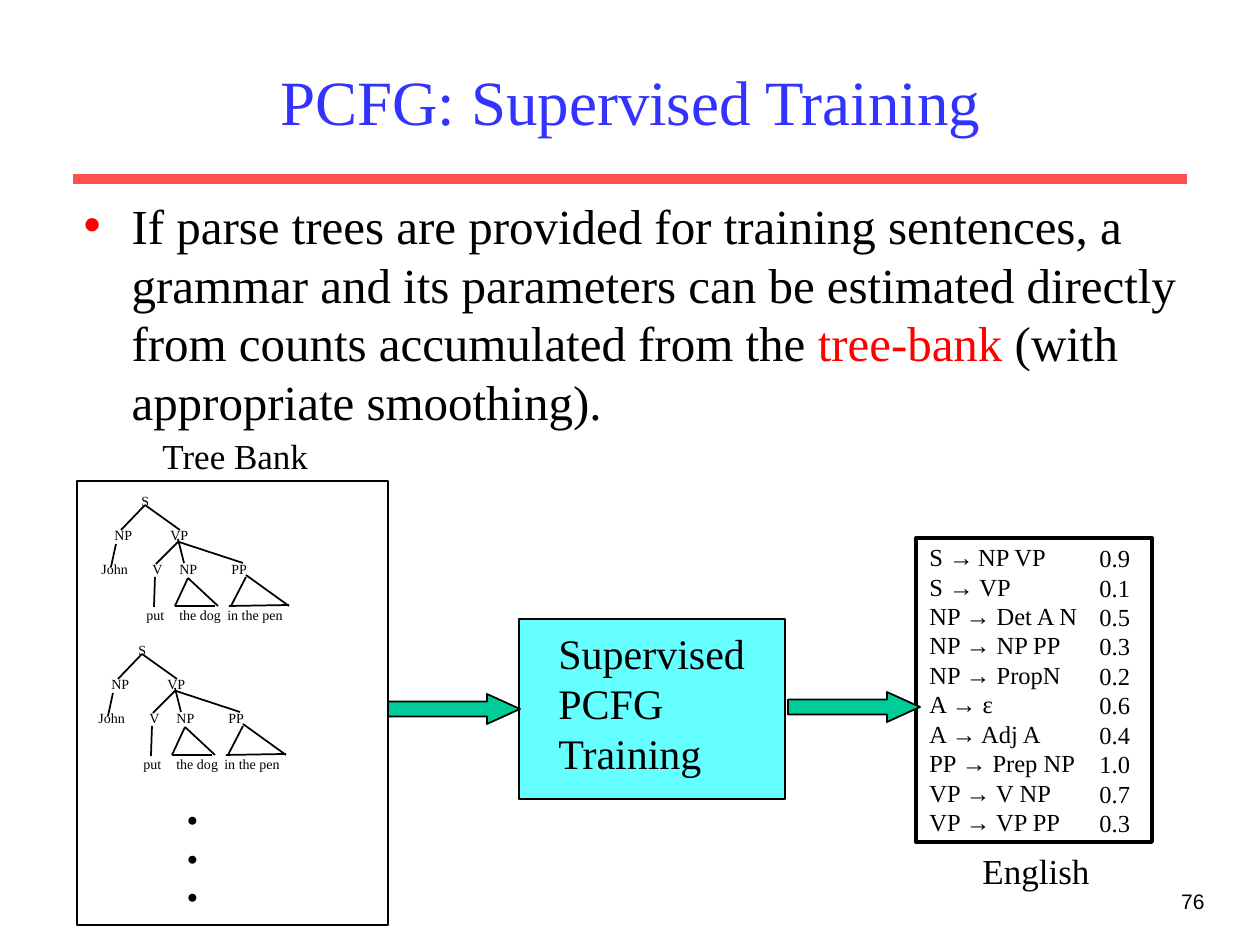
from dataclasses import dataclass
from typing import Optional

from lxml import etree
from pptx import Presentation
from pptx import util as u
from pptx.dml.color import RGBColor
from pptx.enum import shapes, text
from pptx.oxml import ns


@dataclass(frozen=True)
class Theme:
    serif: str = "Times New Roman"
    sans: str = "Arial"
    black: str = "000000"
    title: str = "3333FF"
    accent: str = "FF0000"
    rule: str = "FF5050"
    process: str = "66FFFF"
    arrow: str = "00CC99"
    title_size: int = 36
    body_size: int = 28
    process_size: int = 24
    label_size: int = 20
    grammar_size: int = 14
    number_size: int = 12
    gap_size: int = 10
    tree_size: int = 8


THEME = Theme()


@dataclass(frozen=True)
class Frame:
    left: int
    top: int
    width: int
    height: int

    def emu(self) -> list:
        return [px(v) for v in (self.left, self.top, self.width, self.height)]


@dataclass(frozen=True)
class Span:
    text: str
    color: Optional[str] = None
    size: Optional[int] = None


@dataclass(frozen=True)
class TreeRow:
    frame: Frame
    words: tuple
    tabs: tuple = ()


# One parse tree: rows of labels, and branches as (x1, y1, x2, y2)
TREE_ROWS = (
    TreeRow(Frame(129, 486, 33, 30), ("S",)),
    TreeRow(Frame(102, 520, 100, 30), ("NP", "VP"), (56,)),
    TreeRow(Frame(89, 554, 173, 30), ("John", "V", "NP", "PP"), (51, 78, 130)),
    TreeRow(Frame(134, 600, 161, 30), ("put", "the dog", "in the pen"), (33, 81)),
)
BRANCHES = (
    (145, 505, 121, 530), (145, 505, 180, 530), (116, 544, 111, 567),
    (179, 541, 156, 564), (178, 539, 184, 563), (179, 542, 243, 563),
    (155, 577, 154, 607),
    (188, 578, 175, 606), (175, 606, 215, 606), (188, 578, 218, 606),
    (246, 577, 231, 606), (229, 606, 289, 605), (246, 575, 289, 606),
)
TREE_OFFSETS = ((0, 0), (-3, 149))

GRAMMAR = (
    ([Span("S →"), Span(" ", size=THEME.gap_size), Span("NP VP")], "0.9"),
    ("S → VP", "0.1"),
    ("NP → Det A N", "0.5"),
    ("NP → NP PP", "0.3"),
    ("NP → PropN", "0.2"),
    ("A → ε", "0.6"),
    ("A → Adj A", "0.4"),
    ("PP → Prep NP", "1.0"),
    ("VP → V NP", "0.7"),
    ("VP → VP PP", "0.3"),
)


def px(value: float) -> u.Emu:
    return u.Emu(round(value * 914400 / 126))


def rgb(color: str) -> RGBColor:
    return RGBColor.from_string(color)


def add_bullet(para, color: str, indent: int) -> None:
    props = para._p.get_or_add_pPr()
    props.set("marL", str(px(indent)))
    props.set("indent", str(-px(indent)))
    holder = etree.SubElement(props, ns.qn("a:buClr"))
    etree.SubElement(holder, ns.qn("a:srgbClr"), val=color)
    etree.SubElement(props, ns.qn("a:buChar"), char="•")


def add_tabs(para, stops) -> None:
    tabs = etree.SubElement(para._p.get_or_add_pPr(), ns.qn("a:tabLst"))
    for stop in stops:
        etree.SubElement(tabs, ns.qn("a:tab"), pos=str(px(stop)), algn="l")


def write(box, paragraphs, *, size: int, color: str = THEME.black,
          font: str = THEME.serif, bold: bool = False, align=text.PP_ALIGN.LEFT,
          spacing: Optional[float] = None, wrap: bool = False, bullet: bool = False,
          tabs=()) -> None:
    """Fill a box; each paragraph is a string or a list of spans."""
    frame = box.text_frame
    frame.word_wrap = wrap
    frame.auto_size = text.MSO_AUTO_SIZE.NONE
    for index, content in enumerate(paragraphs):
        para = frame.add_paragraph() if index else frame.paragraphs[0]
        if bullet:
            add_bullet(para, THEME.accent, 48)
        if tabs:
            add_tabs(para, tabs)
        para.alignment = align
        para.space_before = u.Pt(0)
        if spacing:
            para.line_spacing = spacing
        for span in [Span(content)] if isinstance(content, str) else content:
            run = para.add_run()
            run.text = span.text
            run.font.name = font
            run.font.size = u.Pt(span.size or size)
            run.font.bold = bold
            run.font.color.rgb = rgb(span.color or color)


def add_text(page, frame: Frame, paragraphs, **style):
    box = page.shapes.add_textbox(*frame.emu())
    write(box, paragraphs, **style)
    return box


def fill_placeholder(holder, frame: Frame, paragraphs, **style) -> None:
    holder.left, holder.top, holder.width, holder.height = frame.emu()
    write(holder, paragraphs, wrap=True, **style)


def add_block(page, kind, frame: Frame, fill: Optional[str], weight: float):
    block = page.shapes.add_shape(kind, *frame.emu())
    block.shadow.inherit = False
    if fill:
        block.fill.solid()
        block.fill.fore_color.rgb = rgb(fill)
    else:
        block.fill.background()
    block.line.color.rgb = rgb(THEME.black)
    block.line.width = u.Pt(weight)
    return block


def add_line(page, ends, color: str = THEME.black, weight: float = 1) -> None:
    line = page.shapes.add_connector(
        shapes.MSO_CONNECTOR.STRAIGHT, *[px(v) for v in ends])
    line.line.color.rgb = rgb(color)
    line.line.width = u.Pt(weight)
    etree.SubElement(line._element.spPr, ns.qn("a:effectLst"))


def add_arrow(page, left: int, top: int) -> None:
    arrow = add_block(page, shapes.MSO_SHAPE.RIGHT_ARROW,
                      Frame(left, top, 132, 30), THEME.arrow, 1)
    arrow.adjustments[0], arrow.adjustments[1] = 0.5, 1.1


def add_tree(page, dx: int, dy: int) -> None:
    for row in TREE_ROWS:
        at = row.frame
        box = add_text(page, Frame(at.left + dx, at.top + dy, at.width, at.height),
                       ["\t".join(row.words)], size=THEME.tree_size,
                       wrap=True, tabs=row.tabs)
        box.text_frame.margin_right = 0
    for x1, y1, x2, y2 in BRANCHES:
        add_line(page, (x1 + dx, y1 + dy, x2 + dx, y2 + dy))


def main() -> None:
    deck = Presentation()
    deck.slide_width, deck.slide_height = px(1260), px(945)
    page = deck.slides.add_slide(deck.slide_layouts[1])
    rectangle = shapes.MSO_SHAPE.RECTANGLE

    # Heading, rule, body and page number
    add_line(page, (73, 179, 1187, 179), THEME.rule, 6)
    add_text(page, Frame(955, 882, 262, 63), ["76"], size=THEME.number_size,
             font=THEME.sans, align=text.PP_ALIGN.RIGHT, wrap=True)
    fill_placeholder(page.shapes.title, Frame(95, 32, 1071, 136),
                     ["PCFG: Supervised Training"], size=THEME.title_size,
                     color=THEME.title, align=text.PP_ALIGN.CENTER)
    fill_placeholder(page.placeholders[1], Frame(71, 189, 1140, 260), [[
        Span("If parse trees are provided for training sentences, a grammar and its "
             "parameters can be estimated directly from counts accumulated from the "),
        Span("tree-bank ", THEME.accent),
        Span("(with appropriate smoothing)."),
    ]], size=THEME.body_size, bullet=True)

    # Tree bank
    add_text(page, Frame(174, 788, 37, 127), ["."] * 3, size=THEME.body_size,
             bold=True, spacing=0.65)
    add_block(page, rectangle, Frame(77, 481, 311, 444), None, 1.5)
    add_text(page, Frame(150, 428, 171, 55), ["Tree Bank"], size=THEME.label_size)
    for offset in TREE_OFFSETS:
        add_tree(page, *offset)

    # Training step
    add_block(page, rectangle, Frame(519, 619, 266, 180), THEME.process, 1.5)
    add_text(page, Frame(546, 621, 212, 164), ["Supervised", "PCFG", "Training"],
             size=THEME.process_size)
    add_arrow(page, 388, 694)

    # Learned grammar
    rules, chances = zip(*GRAMMAR)
    add_text(page, Frame(917, 536, 176, 307), rules, size=THEME.grammar_size)
    add_text(page, Frame(1087, 537, 55, 307), chances, size=THEME.grammar_size)
    add_block(page, rectangle, Frame(916, 538, 236, 304), None, 2.25)
    add_text(page, Frame(970, 843, 132, 55), ["English"], size=THEME.label_size)
    add_arrow(page, 788, 692)

    deck.save("out.pptx")


if __name__ == "__main__":
    main()
